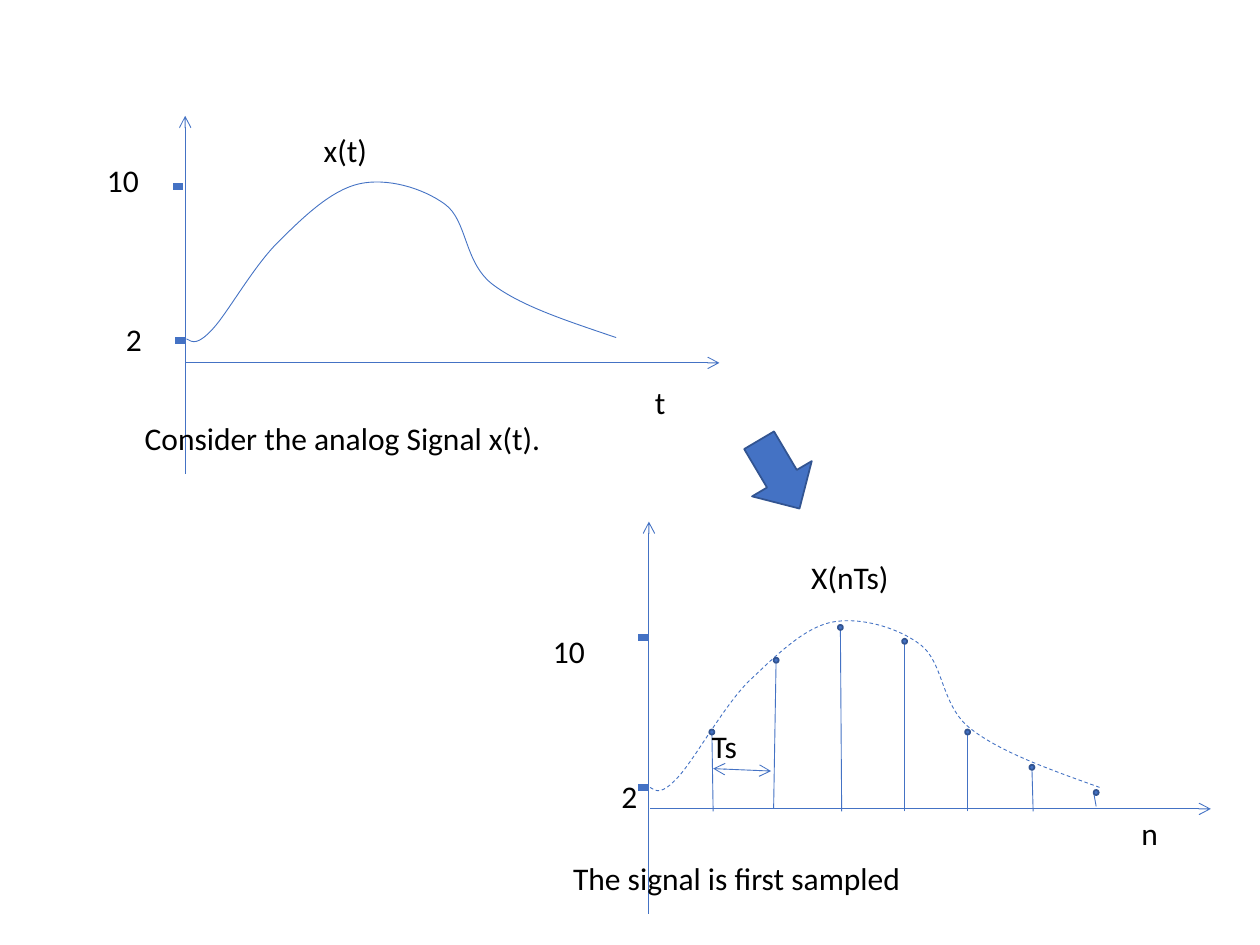
"""Build a slide that shows an analog signal and its sampled version."""
from lxml import etree
from pptx import Presentation
from pptx import util as u
from pptx.dml.color import RGBColor
from pptx.enum import dml, shapes, text
from pptx.oxml.ns import qn

BLUE = RGBColor(0x44, 0x72, 0xC4)
DARK_BLUE = RGBColor(0x32, 0x54, 0x91)
BLACK = RGBColor(0, 0, 0)
THIN, OUTLINE, TICK = u.Pt(0.5), u.Pt(1), u.Pt(4)
DOT = 0.04

ANALOG = [
    (1.48, 2.69), (1.53, 2.72), (1.57, 2.74), (1.69, 2.61),
    (1.81, 2.48), (2.02, 2.1), (2.22, 1.91),
    (2.41, 1.72), (2.63, 1.51), (2.85, 1.46),
    (3.07, 1.41), (3.35, 1.49), (3.53, 1.62),
    (3.71, 1.75), (3.68, 2.07), (3.9, 2.25),
    (4.13, 2.43), (4.51, 2.55), (4.89, 2.68),
]
ENVELOPE = [
    (5.16, 6.25), (5.21, 6.28), (5.25, 6.31), (5.38, 6.17),
    (5.51, 6.03), (5.73, 5.63), (5.93, 5.42),
    (6.14, 5.22), (6.37, 4.99), (6.59, 4.94),
    (6.82, 4.89), (7.13, 4.98), (7.31, 5.12),
    (7.49, 5.26), (7.47, 5.6), (7.7, 5.78),
    (7.94, 5.97), (8.34, 6.11), (8.73, 6.25),
]
STEMS_AND_DOTS = [
    ((5.66, 6.44), (5.65, 5.82), (5.65, 5.81)),
    ((6.14, 6.42), (6.16, 5.22), (6.16, 5.24)),
    ((6.68, 6.44), (6.67, 4.98), (6.67, 4.98)),
    ((7.18, 6.44), (7.18, 5.1), (7.18, 5.09)),
    ((7.68, 6.44), (7.68, 5.83), (7.68, 5.81)),
    ((8.2, 6.44), (8.19, 6.09), (8.19, 6.09)),
    ((8.7, 6.4), (8.68, 6.29), (8.7, 6.29)),
]
ANALOG_LABELS = [
    ("2", 0.9, 2.49, 0.41, 0.4),
    ("10", 0.75, 1.23, 0.63, 0.4),
    ("t", 5.1, 2.99, 0.44, 0.18),
    ("x(t)", 2.47, 0.99, 1.01, 0.4),
    ("Consider the analog Signal x(t).", 1.05, 3.28, 4.14, 0.4),
]
SAMPLED_LABELS = [
    ("2", 4.86, 6.12, 0.17, 0.19),
    ("10", 4.29, 4.97, 0.78, 0.4),
    ("n", 8.96, 6.41, 0.47, 0.2),
    ("X(nTs)", 6.34, 4.38, 0.97, 0.19),
    ("The signal is first sampled", 4.45, 6.77, 4.05, 0.4),
    ("Ts", 5.55, 5.72, 0.5, 0.4),
]


class Sketch:
    """Hold the style and the slide, and draw each kind of element."""

    font = {"name": "Calibri", "size": u.Pt(18)}
    frame = {"word_wrap": True, "vertical_anchor": text.MSO_ANCHOR.TOP}

    def __init__(self, slide):
        self.slide = slide
        self.shapes = slide.shapes

    def group(self):
        self.shapes = self.slide.shapes.add_group_shape().shapes

    def line(self, start, end, width=THIN, ends=()):
        sp = self.shapes.add_connector(
            shapes.MSO_CONNECTOR.STRAIGHT, *map(u.Inches, start + end))
        sp.line.color.rgb = BLUE
        sp.line.width = width
        ln = sp._element.spPr.find(qn("a:ln"))
        for end_name in ends:
            etree.SubElement(ln, qn(f"a:{end_name}"), type="arrow")
        etree.SubElement(sp._element.spPr, qn("a:effectLst"))

    def curve(self, points, dash=None):
        nodes = [(u.Inches(x), u.Inches(y)) for x, y in points]
        builder = self.shapes.build_freeform(*nodes[0])
        builder.add_line_segments(nodes[1:], close=False)
        sp = builder.convert_to_shape()
        sp.shadow.inherit = False
        sp.fill.background()
        sp.line.color.rgb = BLUE
        for name, value in {"width": THIN, "dash_style": dash}.items():
            setattr(sp.line, name, value)
        segments = list(sp._element.iter(qn("a:lnTo")))
        for i in range(0, len(segments), 3):
            bezier = etree.Element(qn("a:cubicBezTo"))
            segments[i].addprevious(bezier)
            for segment in segments[i:i + 3]:
                bezier.append(segment[0])
                segment.getparent().remove(segment)

    def shape(self, kind, left, top, width, height, rotation=0):
        sp = self.shapes.add_shape(
            kind, *map(u.Inches, (left, top, width, height)))
        sp.shadow.inherit = False
        sp.rotation = rotation
        sp.fill.solid()
        sp.fill.fore_color.rgb = BLUE
        sp.line.color.rgb = DARK_BLUE
        sp.line.width = OUTLINE

    def label(self, words, *box):
        tf = self.shapes.add_textbox(*map(u.Inches, box)).text_frame
        for name, value in self.frame.items():
            setattr(tf, name, value)
        r = tf.paragraphs[0].add_run()
        r.text = words
        for name, value in self.font.items():
            setattr(r.font, name, value)
        r.font.color.rgb = BLACK


def main():
    prs = Presentation()
    prs.slide_width, prs.slide_height = u.Inches(10), u.Inches(7.5)
    s = Sketch(prs.slides.add_slide(prs.slide_layouts[6]))
    s.shape(shapes.MSO_SHAPE.LEFT_ARROW, 5.87, 3.49, 0.63, 0.55, 239.4)

    s.group()
    s.line((1.47, 3.76), (1.47, 0.92), ends=["tailEnd"])
    s.line((1.47, 2.88), (5.71, 2.88), ends=["tailEnd"])
    s.curve(ANALOG)
    s.line((1.47, 2.7), (1.39, 2.7), TICK)
    s.line((1.45, 1.48), (1.37, 1.48), TICK)
    for label in ANALOG_LABELS:
        s.label(*label)

    s.group()
    s.line((5.15, 7.25), (5.15, 4.14), ends=["tailEnd"])
    s.line((5.16, 6.42), (9.61, 6.42), ends=["tailEnd"])
    s.curve(ENVELOPE, dml.MSO_LINE.DASH)
    for y in (6.25, 5.06):
        s.line((5.15, y), (5.06, y), TICK)
    for foot, top, (x, y) in STEMS_AND_DOTS:
        s.line(foot, top)
        s.shape(shapes.MSO_SHAPE.FLOWCHART_CONNECTOR,
                x - DOT / 2, y - DOT / 2, DOT, DOT)
    s.line((5.66, 6.1), (6.12, 6.12), ends=["headEnd", "tailEnd"])
    for label in SAMPLED_LABELS:
        s.label(*label)
    prs.save("out.pptx")


if __name__ == "__main__":
    main()
